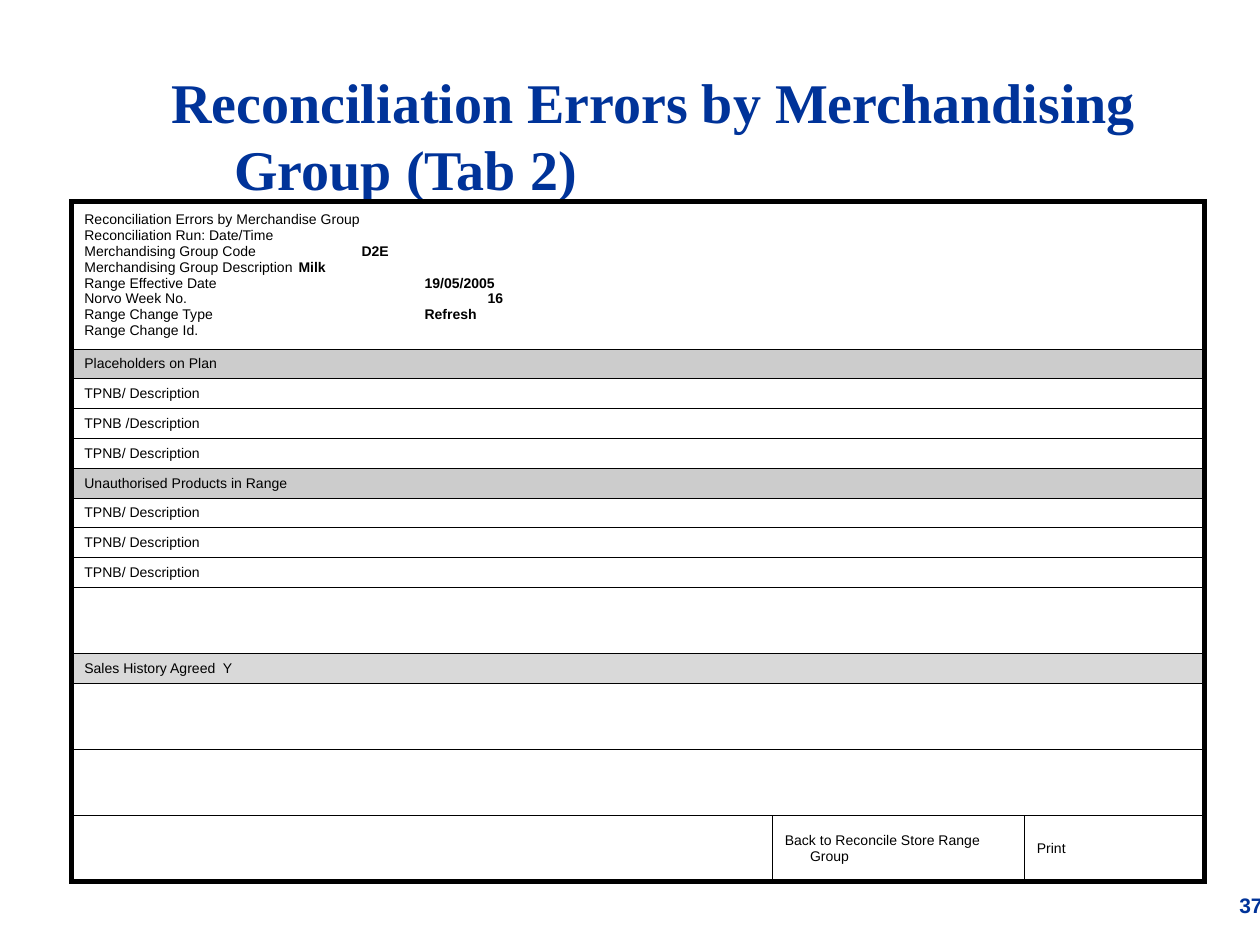
from dataclasses import dataclass

from lxml import etree
from pptx import Presentation
from pptx.dml.color import RGBColor
from pptx.enum.text import MSO_ANCHOR, MSO_AUTO_SIZE, PP_ALIGN
from pptx.oxml.ns import qn
from pptx.util import Pt

LEFT, RIGHT = PP_ALIGN.LEFT, PP_ALIGN.RIGHT
TOP, MIDDLE = MSO_ANCHOR.TOP, MSO_ANCHOR.MIDDLE
NO_AUTOFIT = MSO_AUTO_SIZE.NONE

NAVY, BLACK, GREY, PALE_GREY = "003399", "000000", "CCCCCC", "D9D9D9"
FRAME, RULE = 3, 0.45
TAB_STEP, TAB_COUNT = 72, 8
PLAIN_TABLE = "{2D5ABB26-0587-4C30-8999-92F81FD0307C}"

COLUMN_WIDTHS = (400.3, 144, 102.9)
SUMMARY_HEIGHT, LINE_HEIGHT, TALL_HEIGHT = 84.2, 17.05, 37.8


@dataclass(frozen=True)
class Entry:
    label: str
    tabs: int = 0
    value: str = ""


@dataclass(frozen=True)
class Row:
    cells: tuple  # one tuple of entries per cell; a single cell spans the table
    height: float = LINE_HEIGHT
    fill: str = ""


def line(label: str, fill: str = "") -> Row:
    return Row(((Entry(label),),), fill=fill)


SUMMARY = (
    Entry("Reconciliation Errors by Merchandise Group"),
    Entry("Reconciliation Run: Date/Time"),
    Entry("Merchandising Group Code ", 2, "D2E"),
    Entry("Merchandising Group Description", 1, "Milk"),
    Entry("Range Effective Date", 4, "19/05/2005"),
    Entry("Norvo Week No.", 5, "16"),
    Entry("Range Change Type", 4, "Refresh"),
    Entry("Range Change Id."),
)
PRODUCT = line("TPNB/ Description")
SPACER = Row(((),), TALL_HEIGHT)
ROWS = (
    Row((SUMMARY,), SUMMARY_HEIGHT),
    line("Placeholders on Plan", GREY),
    PRODUCT, line("TPNB /Description"), PRODUCT,
    line("Unauthorised Products in Range", GREY),
    PRODUCT, PRODUCT, PRODUCT,
    SPACER,
    line("Sales History Agreed  Y", PALE_GREY),
    SPACER, SPACER,
    Row(((), (Entry("Back to Reconcile Store Range Group"),), (Entry("Print"),)),
        TALL_HEIGHT),
)


def color(hex_code: str) -> RGBColor:
    return RGBColor.from_string(hex_code)


def write(frame, entries, *, font="Arial", size=8, ink=BLACK, bold=False,
          align=LEFT, margin=0, indent=0, tabbed=False) -> None:
    """Put one paragraph per entry into a text frame."""
    for index, entry in enumerate(entries):
        paragraph = frame.add_paragraph() if index else frame.paragraphs[0]
        paragraph.alignment = align
        paragraph.space_before = Pt(0)
        properties = paragraph._p.get_or_add_pPr()
        properties.set("marL", str(Pt(margin)))
        properties.set("indent", str(Pt(indent)))
        if tabbed:
            stops = etree.SubElement(properties, qn("a:tabLst"))
            for step in range(TAB_COUNT):
                etree.SubElement(stops, qn("a:tab"), pos=str(Pt(step * TAB_STEP)), algn="l")
        pieces = [(entry.label + "\t" * entry.tabs, bold)]
        if entry.value:
            pieces.append((entry.value, True))
        for words, heavy in pieces:
            run = paragraph.add_run()
            run.text = words
            run.font.name, run.font.size, run.font.bold = font, Pt(size), heavy
            run.font.color.rgb = color(ink)


def set_borders(cell, **widths: float) -> None:
    """Draw black cell borders; sides are given as L, R, T and B."""
    properties = cell._tc.get_or_add_tcPr()
    for side, width in widths.items():
        border = etree.SubElement(properties, qn(f"a:ln{side}"), w=str(Pt(width)))
        fill = etree.SubElement(border, qn("a:solidFill"))
        etree.SubElement(fill, qn("a:srgbClr"), val=BLACK)


def add_error_table(slide) -> None:
    frame = slide.shapes.add_table(
        len(ROWS), len(COLUMN_WIDTHS), Pt(41), Pt(115.2),
        Pt(sum(COLUMN_WIDTHS)), Pt(sum(row.height for row in ROWS)))
    table = frame.table
    table.first_row = table.horz_banding = False
    table._tbl.tblPr.find(qn("a:tableStyleId")).text = PLAIN_TABLE
    for column, width in zip(table.columns, COLUMN_WIDTHS):
        column.width = Pt(width)

    last_row = len(ROWS) - 1
    for r, row in enumerate(ROWS):
        table.rows[r].height = Pt(row.height)
        last_cell = len(row.cells) - 1
        if not last_cell:
            table.cell(r, 0).merge(table.cell(r, len(COLUMN_WIDTHS) - 1))
        for c, entries in enumerate(row.cells):
            cell = table.cell(r, c)
            set_borders(cell,
                        L=RULE if c else FRAME,
                        R=FRAME if c == last_cell else RULE,
                        T=RULE if r else FRAME,
                        B=FRAME if r == last_row else RULE)
            if row.fill:
                cell.fill.solid()
                cell.fill.fore_color.rgb = color(row.fill)
            else:
                cell.fill.background()
            cell.vertical_anchor = MIDDLE
            write(cell.text_frame, entries, margin=14.4, indent=-14.4, tabbed=True)


def main() -> None:
    deck = Presentation()
    deck.slide_width, deck.slide_height = Pt(720), Pt(540)
    slide = deck.slides.add_slide(deck.slide_layouts[5])

    # Title
    title = slide.shapes.title
    title.left, title.top, title.width, title.height = Pt(-17.3), Pt(31), Pt(717), Pt(84.2)
    heading = title.text_frame
    heading.word_wrap, heading.auto_size, heading.vertical_anchor = True, NO_AUTOFIT, TOP
    heading.margin_top = Pt(7.6)
    write(heading, [Entry("Reconciliation Errors by Merchandising Group (Tab 2)")],
          font="Times New Roman", size=32, ink=NAVY, bold=True, margin=144, indent=-36)

    # Report table
    add_error_table(slide)

    # Page number
    page = slide.shapes.add_textbox(Pt(663), Pt(509.8), Pt(58.5), Pt(14.4)).text_frame
    page.margin_left = page.margin_right = page.margin_top = page.margin_bottom = 0
    page.word_wrap, page.vertical_anchor = True, MIDDLE
    write(page, [Entry("37")], size=12, ink=NAVY, bold=True, align=RIGHT)

    deck.save("out.pptx")


if __name__ == "__main__":
    main()
